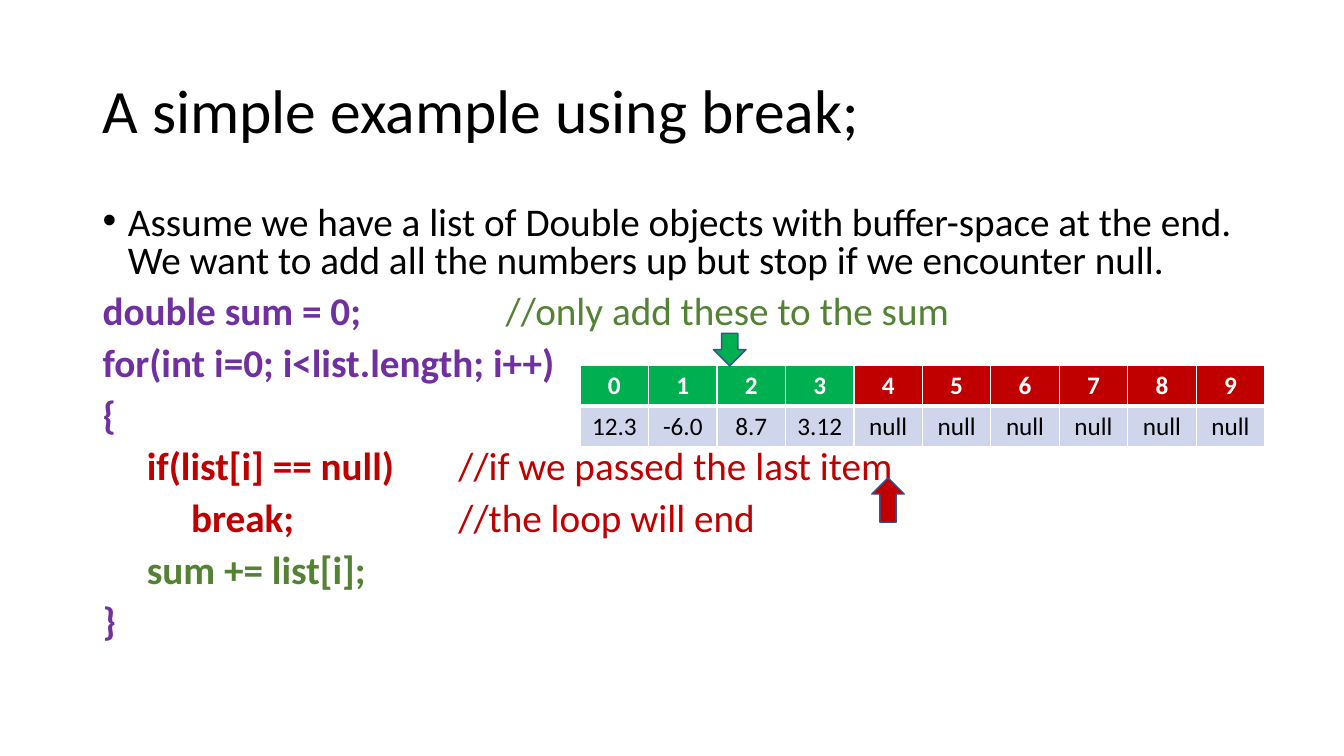
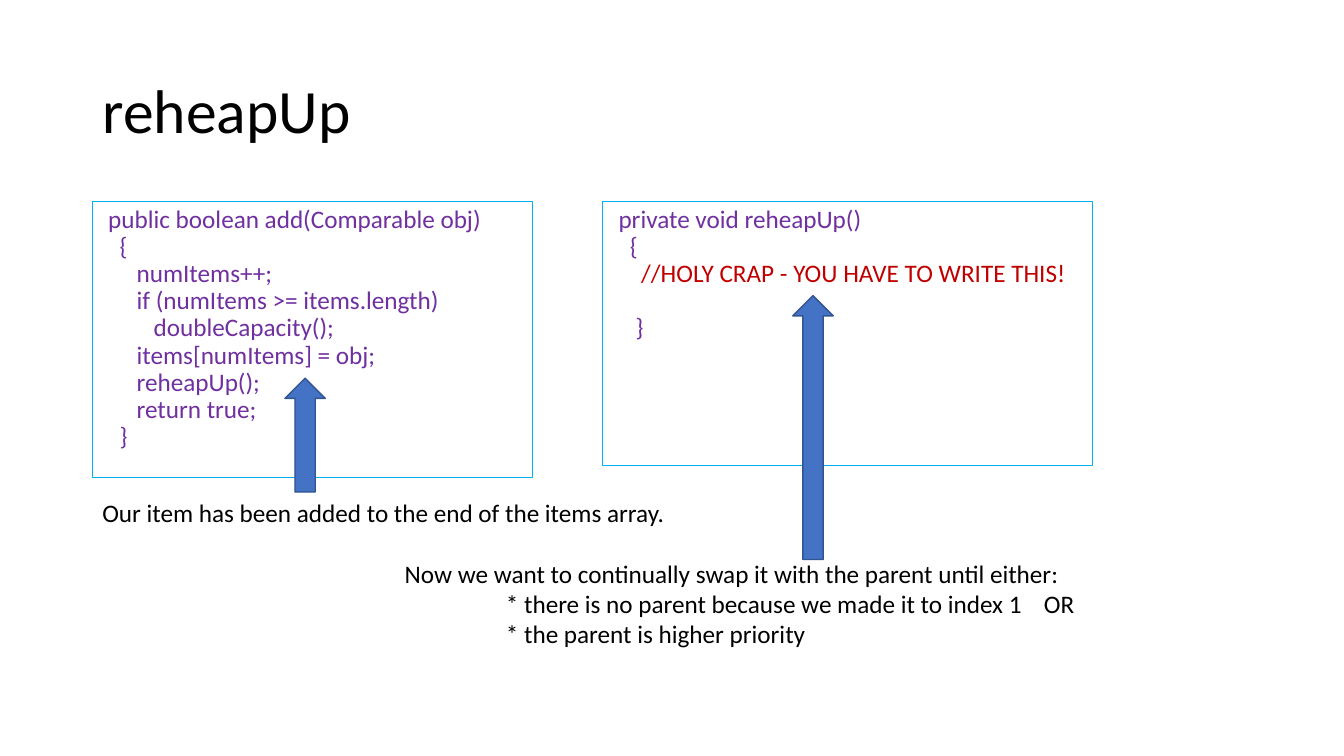
"""Build two lecture slides about break loops and heap insertion."""
import pptx
import pptx.dml.color
import pptx.enum.shapes
import pptx.enum.text
import pptx.oxml.ns
import pptx.util
from lxml import etree
from pptx.util import Cm, Pt

color = pptx.dml.color.RGBColor.from_string
Shape = pptx.enum.shapes.MSO_SHAPE
Align = pptx.enum.text.PP_ALIGN
Anchor = pptx.enum.text.MSO_ANCHOR
AutoSize = pptx.enum.text.MSO_AUTO_SIZE
qn = pptx.oxml.ns.qn

BLACK, WHITE = "000000", "FFFFFF"
PURPLE, RED, OLIVE = "7030A0", "C00000", "548235"
GREEN, BLUE, ARROW_EDGE = "00B050", "4472C4", "325491"
CELL_FILL, FRAME_EDGE = "CFD5EA", "00B0F0"


def style_para(para, size, hue, line=1.0, before=0, bullet=None, tab_step=2.54):
    para.alignment = Align.LEFT
    para.line_spacing = line
    para.space_before = Pt(before)
    props = para._p.get_or_add_pPr()
    hang = Cm(0.64) if bullet else 0
    props.set("marL", str(hang))
    props.set("indent", str(-hang))
    props.set("defTabSz", str(Cm(tab_step)))
    if bullet:
        etree.SubElement(props, qn("a:buChar"), char=bullet)
    else:
        etree.SubElement(props, qn("a:buNone"))
    for line_break in para._p.findall(qn("a:br")):
        etree.SubElement(line_break, qn("a:rPr"), sz=str(size * 100))
    for span in para.runs:
        span.font.name = "Calibri"
        span.font.size = Pt(size)
        span.font.bold = False
        span.font.color.rgb = color(hue)


def add_arrow(page, kind, left, top, width, height, hue):
    arrow = page.shapes.add_shape(kind, Cm(left), Cm(top), Cm(width), Cm(height))
    arrow.shadow.inherit = False
    arrow.fill.solid()
    arrow.fill.fore_color.rgb = color(hue)
    arrow.line.color.rgb = color(ARROW_EDGE)
    arrow.line.width = Pt(1)


deck = pptx.Presentation()
deck.slide_width, deck.slide_height = Cm(33.87), Cm(19.05)

pages = []
for heading, layout in (("A simple example using break;", 1), ("reheapUp", 3)):
    page = deck.slides.add_slide(deck.slide_layouts[layout])
    title = page.shapes.title
    title.left, title.top, title.width, title.height = Cm(2.33), Cm(1.01), Cm(29.21), Cm(3.68)
    title.text_frame.text = heading
    title.text_frame.vertical_anchor = Anchor.MIDDLE
    style_para(title.text_frame.paragraphs[0], 44, BLACK, line=0.9)
    pages.append(page)
break_page, heap_page = pages

body = break_page.placeholders[1]
body.left, body.top, body.width, body.height = Cm(2.33), Cm(5.07), Cm(29.21), Cm(12.09)
body.text_frame.auto_size = AutoSize.NONE
intro = body.text_frame.paragraphs[0]
intro.text = (
    "Assume we have a list of Double objects with buffer-space at the end. "
    "We want to add all the numbers up but stop if we encounter null."
)
style_para(intro, 28, BLACK, line=0.8, bullet="•")

code_lines = [
    ("double sum = 0;", PURPLE, "//only add these to the sum", OLIVE, 10.16),
    ("for(int i=0; i<list.length; i++)", PURPLE, None, None, 2.54),
    ("{", PURPLE, None, None, 2.54),
    ("     if(list[i] == null)", RED, "//if we passed the last item", RED, 8.97),
    ("          break;", RED, "//the loop will end", RED, 8.97),
    ("     sum += list[i];", OLIVE, None, None, 2.54),
    ("}", PURPLE, None, None, 2.54),
]
for code, hue, comment, comment_hue, tab_step in code_lines:
    para = body.text_frame.add_paragraph()
    para.text = code
    if comment:
        para.add_run().text = "\t" + comment
    style_para(para, 28, hue, line=0.8, before=10, tab_step=tab_step)
    para.runs[0].font.bold = True
    if comment:
        para.runs[1].font.color.rgb = color(comment_hue)

values = ["12.3", "-6.0", "8.7", "3.12"] + ["null"] * 6
table = break_page.shapes.add_table(
    2, len(values), Cm(14.62), Cm(9.2), Cm(17.25), Cm(2.06)
).table
for column, value in enumerate(values):
    head_fill = RED if value == "null" else GREEN
    entries = ((str(column), head_fill, WHITE), (value, CELL_FILL, BLACK))
    for row, (text, fill, hue) in enumerate(entries):
        cell = table.cell(row, column)
        cell.text = text
        para = cell.text_frame.paragraphs[0]
        style_para(para, 18, hue)
        para.alignment = Align.CENTER
        para.runs[0].font.bold = row == 0
        props = cell._tc.get_or_add_tcPr()
        for side in ("L", "R", "T", "B"):
            thick = (row, side) in ((0, "B"), (1, "T"))
            edge = etree.SubElement(props, qn("a:ln" + side), w=str(Pt(3 if thick else 1)))
            paint = etree.SubElement(edge, qn("a:solidFill"))
            etree.SubElement(paint, qn("a:srgbClr"), val=WHITE)
        cell.fill.solid()
        cell.fill.fore_color.rgb = color(fill)

add_arrow(break_page, Shape.DOWN_ARROW, 17.98, 8.4, 0.82, 0.82, GREEN)
add_arrow(break_page, Shape.UP_ARROW, 21.97, 12.04, 0.82, 1.12, RED)

add_method = [
    " public boolean add(Comparable obj)",
    "   {",
    "      numItems++;",
    "      if (numItems >= items.length)",
    "         doubleCapacity();",
    "      items[numItems] = obj;",
    "      reheapUp();",
    "      return true;",
    "   }",
]
reheap_method = [
    " private void reheapUp()",
    "   {",
    "     //HOLY CRAP - YOU HAVE TO WRITE THIS!",
    "",
    "    }",
]
frames = ((1, 2.33, 11.08, 6.97, add_method), (2, 15.19, 12.35, 6.65, reheap_method))
for index, left, width, height, lines in frames:
    frame = heap_page.placeholders[index]
    frame.left, frame.top, frame.width, frame.height = Cm(left), Cm(5.07), Cm(width), Cm(height)
    frame.line.color.rgb = color(FRAME_EDGE)
    frame.line.width = Pt(0.75)
    frame.text_frame.auto_size = AutoSize.NONE
    para = frame.text_frame.paragraphs[0]
    para.text = "\v".join(lines)
    style_para(para, 18, PURPLE, line=0.9)
    for span in para.runs:
        if "//" in span.text:
            span.font.color.rgb = color(RED)

box = heap_page.shapes.add_textbox(Cm(2.33), Cm(12.4), Cm(27.7), Cm(4.88))
box.text_frame.word_wrap = True
captions = [
    ("Our item has been added to the end of the items array.", 0, 2.54),
    ("\tNow we want to continually swap it with the parent until either:", 22, 7.62),
    ("\t\t\t* there is no parent because we made it to index 1\tOR", 0, 3.39),
    ("\t\t\t* the parent is higher priority", 0, 3.39),
]
box.text_frame.text = "\n".join(text for text, before, tab_step in captions)
for para, (text, before, tab_step) in zip(box.text_frame.paragraphs, captions):
    style_para(para, 18, BLACK, before=before, tab_step=tab_step)

add_arrow(heap_page, Shape.UP_ARROW, 7.18, 9.53, 1.02, 2.87, BLUE)
add_arrow(heap_page, Shape.UP_ARROW, 19.98, 7.45, 1.02, 6.65, BLUE)

deck.save("out.pptx")
